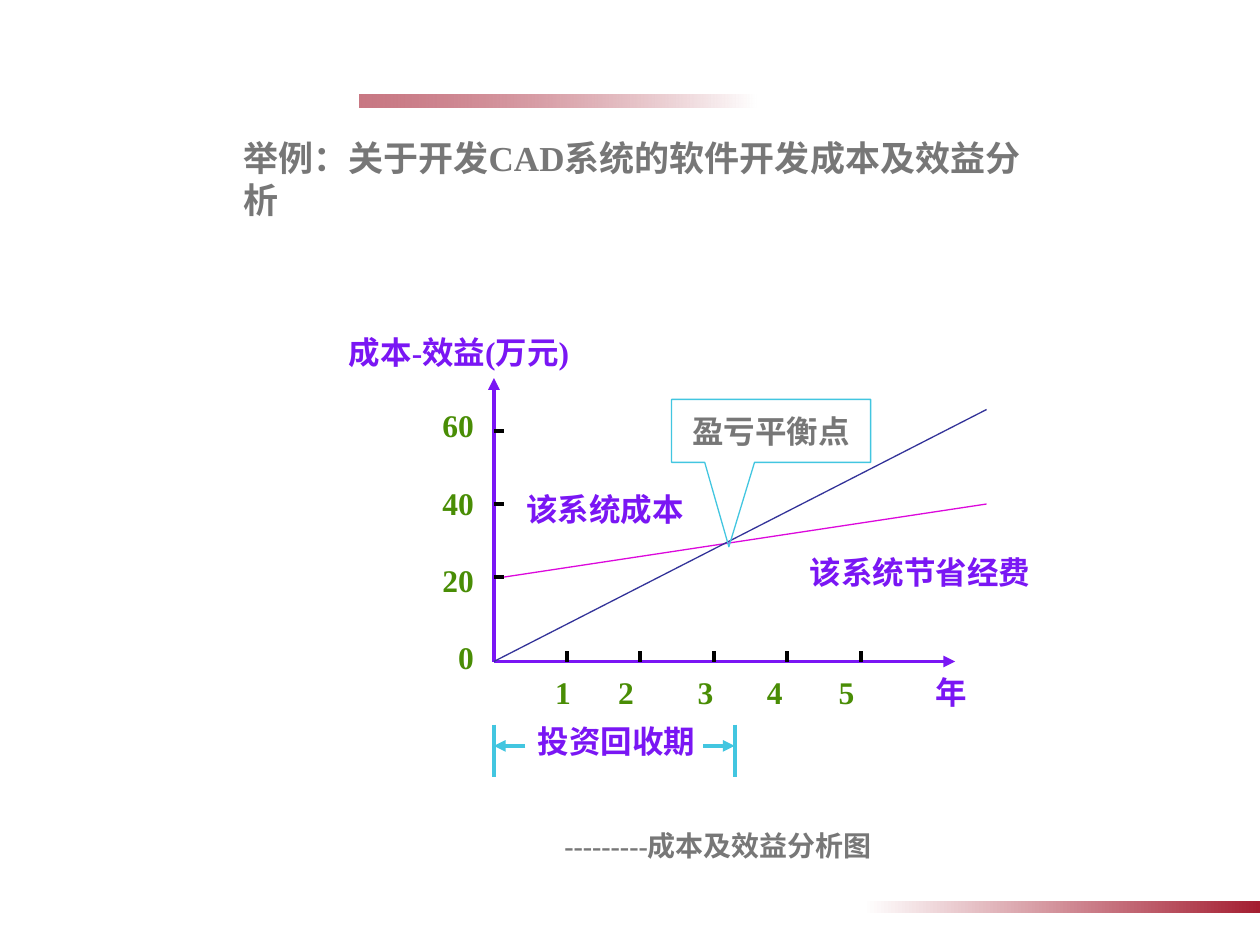
from lxml.etree import SubElement
from pptx import Presentation
from pptx.dml.color import RGBColor
from pptx.enum.shapes import MSO_CONNECTOR, MSO_SHAPE
from pptx.enum.text import MSO_ANCHOR, PP_ALIGN
from pptx.oxml.ns import qn
from pptx.util import Inches, Pt

COLORS = {
    "white": "FFFFFF", "red": "A41E31", "gray": "777777", "violet": "7A16F4",
    "green": "498D05", "black": "000000", "magenta": "DC08DC", "navy": "333399",
    "cyan": "42C6E0",
}


def write(shape, lines, color, size=18, align=PP_ALIGN.LEFT, gap=0, wrap=False):
    """Fill a shape with bold paragraphs, gap points apart."""
    frame = shape.text_frame
    frame.word_wrap = wrap
    frame.vertical_anchor = MSO_ANCHOR.MIDDLE
    for index, line in enumerate(lines):
        para = frame.add_paragraph() if index else frame.paragraphs[0]
        para.alignment = align
        para.space_before = Pt(gap if index else 0)
        span = para.add_run()
        span.text = line
        span.font.name = "Times New Roman"
        span.font.size = Pt(size)
        span.font.bold = True
        span.font.color.rgb = RGBColor.from_string(COLORS[color])
    return frame


def draw_line(start, end, color, width=2.25, arrow=False):
    """Draw a straight line, with an arrowhead at its end if asked."""
    line = slide.shapes.add_connector(
        MSO_CONNECTOR.STRAIGHT, *[Inches(value) for value in (*start, *end)])
    line.line.color.rgb = RGBColor.from_string(COLORS[color])
    line.line.width = Pt(width)
    if arrow:
        SubElement(line.line._get_or_add_ln(), qn("a:tailEnd"), type="triangle")
    SubElement(line._element.spPr, qn("a:effectLst"))


deck = Presentation()
deck.slide_width, deck.slide_height = Inches(10), Inches(7.5)
slide = deck.slides.add_slide(deck.slide_layouts[5])

# Fading bars
for left, top, rotation, opacity in ((2.85, 0.75, 180, 60), (6.85, 7.15, 0, 100)):
    bar = slide.shapes.add_shape(
        MSO_SHAPE.RECTANGLE, Inches(left), Inches(top), Inches(3.15), Inches(0.1))
    bar.rotation = rotation
    bar.shadow.inherit = False
    bar.line.fill.background()
    bar.fill.gradient()
    bar.fill.gradient_angle = 0
    for stop, position, color in zip(bar.fill.gradient_stops, (0, 1), ("white", "red")):
        stop.position = position
        stop.color.rgb = RGBColor.from_string(COLORS[color])
    if opacity < 100:
        end_color = bar._element.spPr.findall(".//" + qn("a:srgbClr"))[-1]
        SubElement(end_color, qn("a:alpha"), val=str(opacity * 1000))

title = slide.shapes.title
title.left, title.top = Inches(1.83), Inches(1.17)
title.width, title.height = Inches(6.58), Inches(0.5)
write(title, ["举例：关于开发CAD系统的软件开发成本及效益分析"], "gray", 20)

# Axes and ticks
axis_x, axis_y = 3.92, 5.25
draw_line((axis_x, axis_y), (axis_x, 3), "violet", arrow=True)
draw_line((axis_x, axis_y), (7.58, axis_y), "violet", arrow=True)
for index in range(3):
    y = 4.58 - index * 0.58
    draw_line((axis_x, y), (4, y), "black")
for index in range(5):
    x = 4.5 + index * 0.583
    draw_line((x, 5.17), (x, axis_y), "black")

# Cost and savings
draw_line((4, 4.58), (7.83, 4), "magenta", 0.75)
draw_line((axis_x, axis_y), (7.83, 3.25), "navy", 0.75)

# Labels
for text, color, size, left, top, width, height in (
    ("年", "violet", 18, 7.33, 5.33, 0.5, 0.33),
    ("成本-效益(万元)", "violet", 18, 2.67, 2.58, 2.17, 0.42),
    ("该系统节省经费", "violet", 18, 6.33, 4.33, 2.17, 0.42),
    ("该系统成本", "violet", 18, 4.08, 3.83, 1.5, 0.42),
    ("投资回收期", "violet", 18, 4.17, 5.67, 1.5, 0.42),
    ("---------成本及效益分析图", "gray", 16, 4.38, 6.5, 3.45, 0.42),
):
    box = slide.shapes.add_textbox(
        Inches(left), Inches(top), Inches(width), Inches(height))
    write(box, [text], color, size)

amounts = slide.shapes.add_textbox(
    Inches(3.42), Inches(3.17), Inches(0.42), Inches(2.25))
frame = write(amounts, ["60", "40", "20", "0"], "green",
              align=PP_ALIGN.RIGHT, gap=22.6)
frame.margin_left, frame.margin_right = Inches(0), Inches(0.08)

years = slide.shapes.add_textbox(
    Inches(4.25), Inches(5.33), Inches(2.92), Inches(0.33))
frame = write(years, ["\t1\t2\t3\t4\t5"], "green", wrap=True)
tabs = SubElement(frame.paragraphs[0]._p.get_or_add_pPr(), qn("a:tabLst"))
for position in (0.12, 0.62, 1.25, 1.8, 2.37):
    SubElement(tabs, qn("a:tab"), pos=str(Inches(position)), algn="ctr")

# Break-even point
callout = slide.shapes.add_shape(
    MSO_SHAPE.RECTANGULAR_CALLOUT,
    Inches(5.33), Inches(3.17), Inches(1.58), Inches(0.5))
callout.adjustments[0], callout.adjustments[1] = -0.212, 1.84
callout.shadow.inherit = False
callout.fill.background()
callout.line.color.rgb = RGBColor.from_string(COLORS["cyan"])
callout.line.width = Pt(0.75)
write(callout, ["盈亏平衡点"], "gray", align=PP_ALIGN.CENTER, wrap=True)

# Payback period
for x, inner_x in ((5.83, 5.58), (axis_x, 4.17)):
    draw_line((x, 5.75), (x, 6.17), "cyan")
    draw_line((inner_x, 5.92), (x, 5.92), "cyan", arrow=True)

deck.save("out.pptx")
